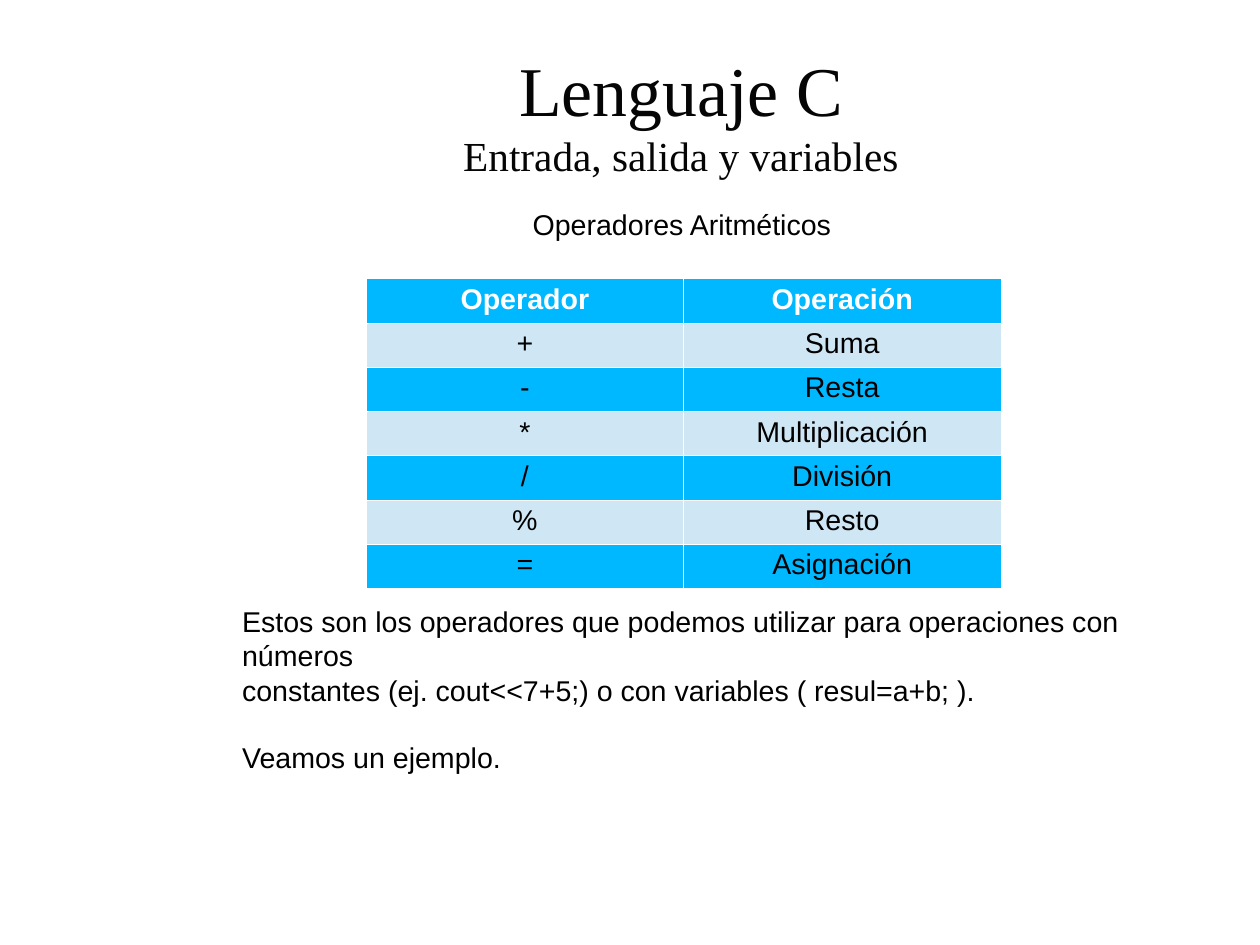
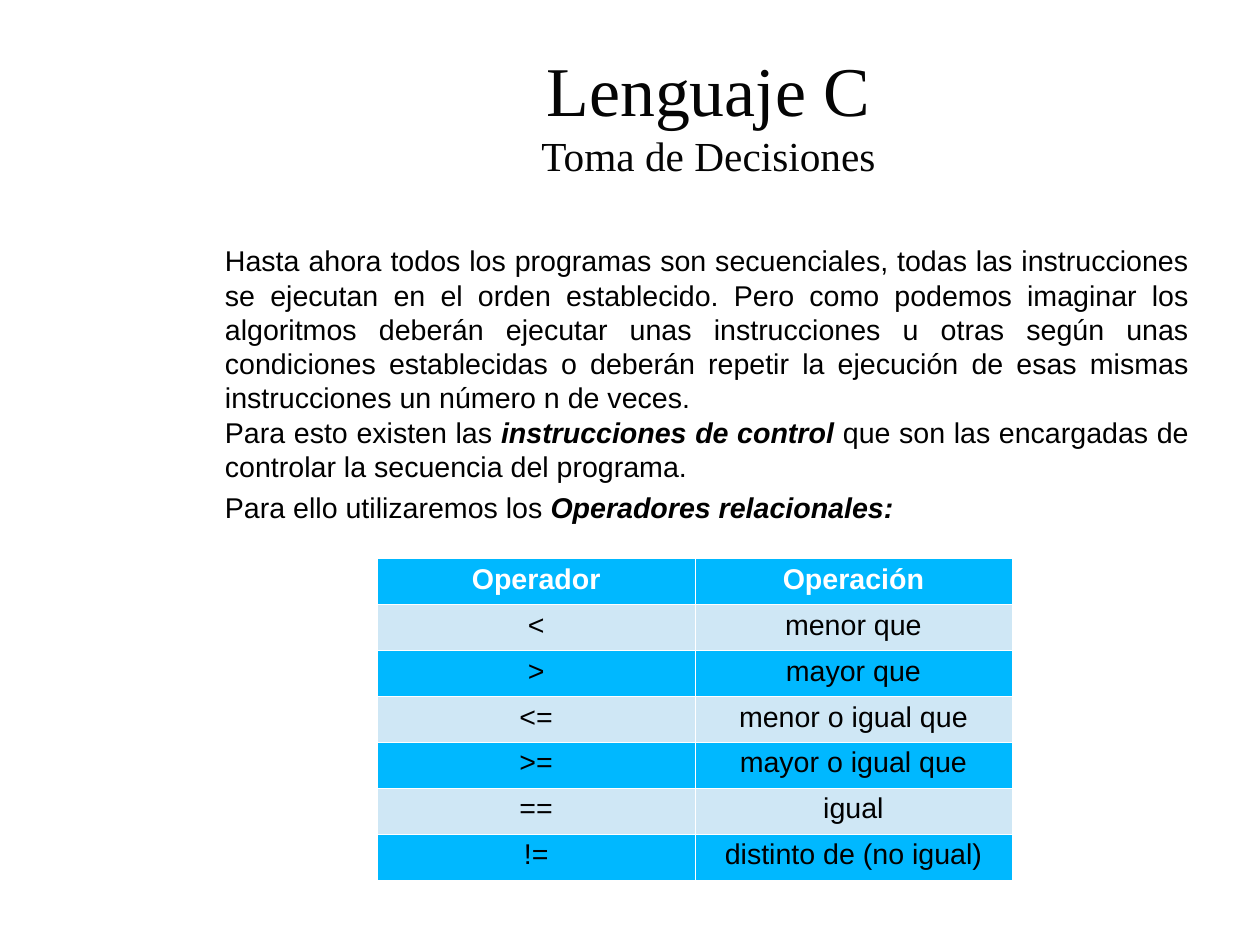
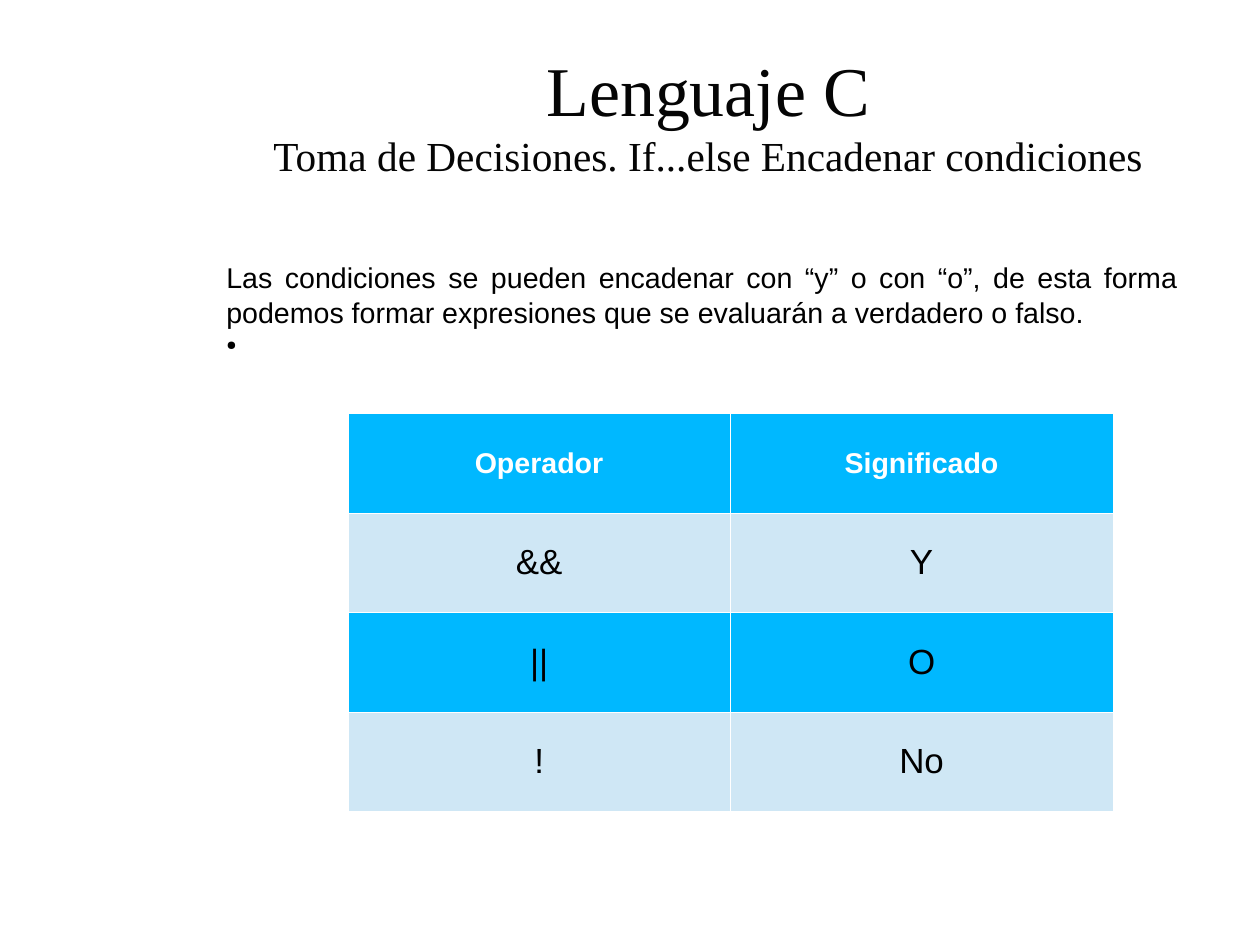
"""Build three slides on operators and decisions in the C language."""
from dataclasses import dataclass
from typing import Optional

from lxml import etree
from pptx import Presentation
from pptx import util as u
from pptx.dml import color
from pptx.enum import text
from pptx.oxml import ns

COLORS = {
    "title": "050505",
    "body": "000000",
    "header": "FFFFFF",
    "border": "FFFFFF",
    "strong": "00B8FF",
    "light": "CFE7F5",
}
TITLE_FONT = "Times New Roman"
BODY_FONT = "Arial"
BODY_SIZE = 18
CENTER = text.PP_ALIGN.CENTER
LEFT = text.PP_ALIGN.LEFT
JUSTIFY = text.PP_ALIGN.JUSTIFY
TOP = text.MSO_ANCHOR.TOP
MIDDLE = text.MSO_ANCHOR.MIDDLE


@dataclass(frozen=True)
class Run:
    content: str
    emphasis: bool = False


@dataclass(frozen=True)
class Paragraph:
    runs: tuple[Run, ...]
    space_before: float = 0
    bullet: bool = False


@dataclass(frozen=True)
class TextBlock:
    left: float
    top: float
    width: float
    height: float
    paragraphs: tuple[Paragraph, ...]
    align: text.PP_ALIGN = JUSTIFY
    anchor: text.MSO_ANCHOR = TOP
    wrap: bool = True


@dataclass(frozen=True)
class OperatorTable:
    left: float
    top: float
    width: float
    row_height: float
    rows: tuple[tuple[str, str], ...]
    size: int = BODY_SIZE
    anchor: text.MSO_ANCHOR = TOP


@dataclass(frozen=True)
class Lesson:
    subtitle: str
    blocks: tuple[TextBlock, ...]
    table: OperatorTable
    title_left: float = 4.5


def plain(content: str, space_before: float = 0) -> Paragraph:
    """Return a paragraph holding one unemphasised run."""
    return Paragraph((Run(content),), space_before)


LESSONS = (
    Lesson(
        "Entrada, salida y variables",
        (
            TextBlock(4.45, 4.4, 21.41, 1.17, (plain("Operadores Aritméticos"),), CENTER, MIDDLE, False),
            TextBlock(
                5.13, 14.73, 21.41, 1.17,
                (
                    plain("Estos son los operadores que podemos utilizar para operaciones con números"),
                    plain("constantes (ej. cout<<7+5;) o con variables ( resul=a+b; )."),
                    plain("Veamos un ejemplo.", 20.7),
                ),
                LEFT, MIDDLE, False,
            ),
        ),
        OperatorTable(
            8.14, 6.19, 14.1, 0.97,
            (
                ("Operador", "Operación"),
                ("+", "Suma"),
                ("-", "Resta"),
                ("*", "Multiplicación"),
                ("/", "División"),
                ("%", "Resto"),
                ("=", "Asignación"),
            ),
        ),
        title_left=3.89,
    ),
    Lesson(
        "Toma de Decisiones",
        (
            TextBlock(
                4.75, 5.28, 21.92, 5.23,
                (
                    plain(
                        "Hasta ahora todos los programas son secuenciales, todas las instrucciones "
                        "se ejecutan en el orden establecido. Pero como podemos imaginar los "
                        "algoritmos deberán ejecutar unas instrucciones u otras según unas "
                        "condiciones establecidas o deberán repetir la ejecución de esas mismas "
                        "instrucciones un número n de veces."
                    ),
                    Paragraph((
                        Run("Para esto existen las "),
                        Run("instrucciones de control", True),
                        Run(" que son las encargadas de controlar la secuencia del programa."),
                    )),
                ),
            ),
            TextBlock(
                4.75, 10.77, 21.92, 0.97,
                (Paragraph((
                    Run("Para ello utilizaremos los "),
                    Run("Operadores relacionales:", True),
                )),),
            ),
        ),
        OperatorTable(
            8.39, 12.41, 14.1, 1.02,
            (
                ("Operador", "Operación"),
                ("<", "menor que"),
                (">", "mayor que"),
                ("<=", "menor o igual que"),
                (">=", "mayor o igual que"),
                ("==", "igual"),
                ("!=", "distinto de (no igual)"),
            ),
        ),
    ),
    Lesson(
        "Toma de Decisiones. If...else Encadenar condiciones",
        (
            TextBlock(
                4.78, 5.66, 21.64, 2.39,
                (
                    plain(
                        "Las condiciones se pueden encadenar con “y” o con “o”, de esta forma "
                        "podemos formar expresiones que se evaluarán a verdadero o falso."
                    ),
                    Paragraph((Run(" "),), bullet=True),
                ),
            ),
        ),
        OperatorTable(
            7.73, 9.19, 17, 2.21,
            (("Operador", "Significado"), ("&&", "Y"), ("||", "O"), ("!", "No")),
            22, MIDDLE,
        ),
    ),
)


def add_run(paragraph, content: str, size: float, font: str, tone: str, bold: bool = False, italic: bool = False) -> None:
    """Append one formatted run to a paragraph."""
    run = paragraph.add_run()
    run.text = content
    run.font.size = u.Pt(size)
    run.font.name = font
    run.font.bold = bold
    run.font.italic = italic
    run.font.color.rgb = color.RGBColor.from_string(COLORS[tone])


def add_bullet(paragraph) -> None:
    """Give a paragraph a small round bullet with a hanging indent."""
    properties = paragraph._p.get_or_add_pPr()
    properties.set("marL", str(u.Cm(0.6)))
    properties.set("indent", str(u.Cm(-0.6)))
    bullet_color = etree.SubElement(properties, ns.qn("a:buClr"))
    etree.SubElement(bullet_color, ns.qn("a:srgbClr"), val=COLORS["body"])
    etree.SubElement(properties, ns.qn("a:buSzPct"), val="45000")
    etree.SubElement(properties, ns.qn("a:buChar"), char="●")


def add_frame(slide, left: float, top: float, width: float, height: float, anchor: text.MSO_ANCHOR, wrap: bool = True):
    """Add a text box and return its text frame."""
    shape = slide.shapes.add_textbox(u.Cm(left), u.Cm(top), u.Cm(width), u.Cm(height))
    frame = shape.text_frame
    frame.word_wrap = wrap
    frame.vertical_anchor = anchor
    return frame


def draw_title(slide, lesson: Lesson) -> None:
    """Draw the course name with the lesson subtitle below it."""
    frame = add_frame(slide, lesson.title_left, 0.8, 22.5, 3.45, MIDDLE)
    frame.margin_left = frame.margin_right = frame.margin_top = frame.margin_bottom = 0
    paragraph = frame.paragraphs[0]
    paragraph.alignment = CENTER
    add_run(paragraph, "Lenguaje C", 44, TITLE_FONT, "title")
    paragraph.add_line_break()
    add_run(paragraph, lesson.subtitle, 26, TITLE_FONT, "title")


def draw_text(slide, block: TextBlock) -> None:
    """Draw a block of body paragraphs."""
    frame = add_frame(slide, block.left, block.top, block.width, block.height, block.anchor, block.wrap)
    for index, item in enumerate(block.paragraphs):
        paragraph = frame.add_paragraph() if index else frame.paragraphs[0]
        paragraph.alignment = block.align
        if item.space_before:
            paragraph.space_before = u.Pt(item.space_before)
        if item.bullet:
            add_bullet(paragraph)
        for run in item.runs:
            add_run(paragraph, run.content, BODY_SIZE, BODY_FONT, "body", run.emphasis, run.emphasis)


def add_borders(cell) -> None:
    """Outline a cell with hairlines, placed ahead of its fill."""
    properties = cell._tc.get_or_add_tcPr()
    for index, side in enumerate(("lnL", "lnR", "lnT", "lnB")):
        line = etree.Element(ns.qn(f"a:{side}"), w=str(u.Pt(0.06)))
        fill = etree.SubElement(line, ns.qn("a:solidFill"))
        etree.SubElement(fill, ns.qn("a:srgbClr"), val=COLORS["border"])
        properties.insert(index, line)


def draw_table(slide, spec_table: OperatorTable) -> None:
    """Draw a two-column operator table with alternating fills."""
    count = len(spec_table.rows)
    table = slide.shapes.add_table(
        count, 2, u.Cm(spec_table.left), u.Cm(spec_table.top),
        u.Cm(spec_table.width), u.Cm(spec_table.row_height * count),
    ).table
    for row_index, values in enumerate(spec_table.rows):
        table.rows[row_index].height = u.Cm(spec_table.row_height)
        is_header = row_index == 0
        for column_index, value in enumerate(values):
            cell = table.cell(row_index, column_index)
            cell.margin_top = cell.margin_bottom = u.Cm(0.11)
            cell.vertical_anchor = spec_table.anchor
            cell.fill.solid()
            tone = "light" if row_index % 2 else "strong"
            cell.fill.fore_color.rgb = color.RGBColor.from_string(COLORS[tone])
            add_borders(cell)
            paragraph = cell.text_frame.paragraphs[0]
            paragraph.alignment = CENTER
            size = BODY_SIZE if is_header else spec_table.size
            add_run(paragraph, value, size, BODY_FONT, "header" if is_header else "body", is_header)


def main() -> None:
    """Build and save the presentation."""
    presentation = Presentation()
    presentation.slide_width = u.Cm(28)
    presentation.slide_height = u.Cm(21)
    for lesson in LESSONS:
        slide = presentation.slides.add_slide(presentation.slide_layouts[6])
        draw_title(slide, lesson)
        for block in lesson.blocks:
            draw_text(slide, block)
        draw_table(slide, lesson.table)
    presentation.save("out.pptx")


if __name__ == "__main__":
    main()
